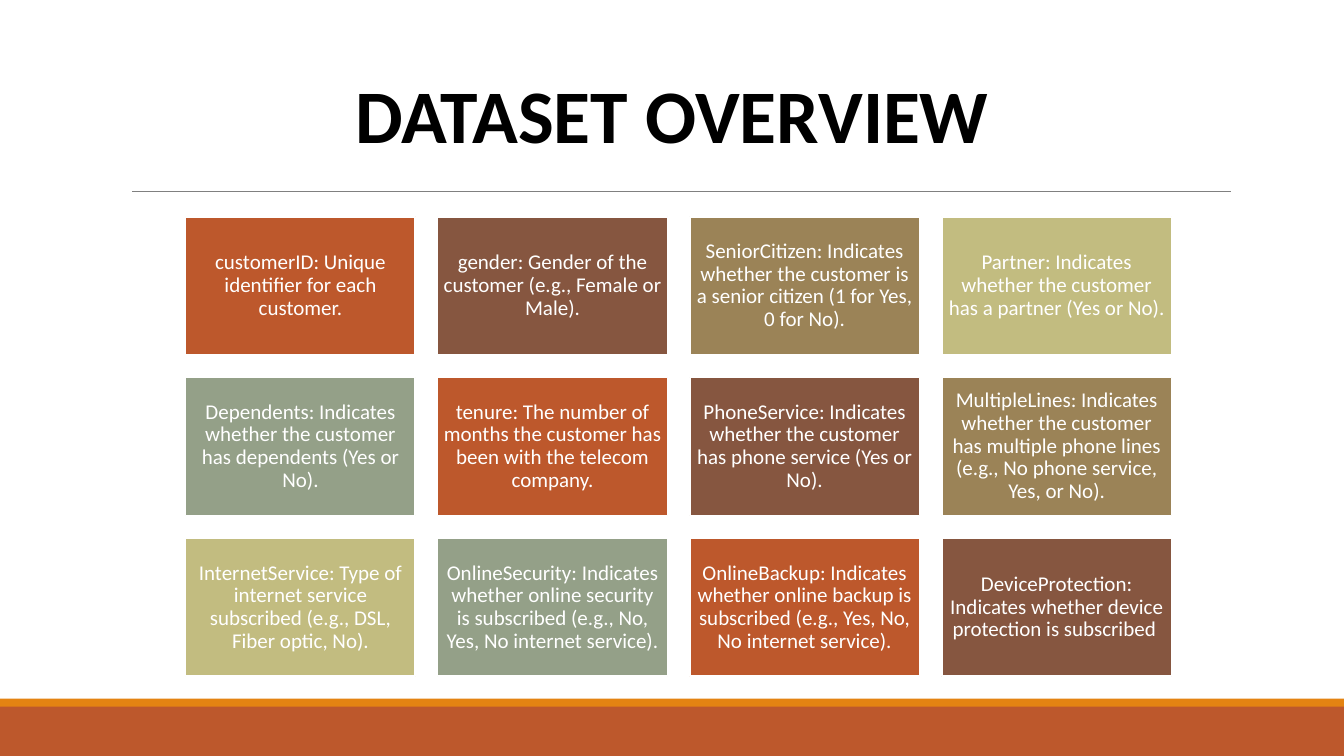
from pptx import Presentation
from pptx.dml.color import RGBColor
from pptx.enum import shapes, text
from pptx.oxml import ns, xmlchemy
from pptx.util import Inches, Pt

FONT = "Calibri"
CARD_COLOURS = ["BD582C", "865640", "9B8357", "C2BC80", "94A088"]
COLUMNS = 4
CARD_WIDTH, CARD_HEIGHT = 2.28, 1.37
GRID_LEFT, GRID_TOP = 1.84, 2.15
COLUMN_STEP, ROW_STEP = 2.5, 1.595
FIELDS = [
    "customerID: Unique identifier for each customer.",
    "gender: Gender of the customer (e.g., Female or Male).",
    "SeniorCitizen: Indicates whether the customer is a senior citizen (1 for Yes, 0 for No).",
    "Partner: Indicates whether the customer has a partner (Yes or No).",
    "Dependents: Indicates whether the customer has dependents (Yes or No).",
    "tenure: The number of months the customer has been with the telecom company.",
    "PhoneService: Indicates whether the customer has phone service (Yes or No).",
    "MultipleLines: Indicates whether the customer has multiple phone lines "
    "(e.g., No phone service, Yes, or No).",
    "InternetService: Type of internet service subscribed (e.g., DSL, Fiber optic, No).",
    "OnlineSecurity: Indicates whether online security is subscribed "
    "(e.g., No, Yes, No internet service).",
    "OnlineBackup: Indicates whether online backup is subscribed "
    "(e.g., Yes, No, No internet service).",
    "DeviceProtection: Indicates whether device protection is subscribed ",
]


def colour(value):
    return RGBColor.from_string(value)


def write(para, words, size, font_colour, bold=False):
    para.text = words
    para.alignment = text.PP_ALIGN.CENTER
    para.font.name = FONT
    para.font.size = Pt(size)
    para.font.bold = bold
    para.font.color.rgb = colour(font_colour)


def add_box(page, left, top, width, height, fill):
    box = page.shapes.add_shape(
        shapes.MSO_SHAPE.RECTANGLE, Inches(left), Inches(top), Inches(width), Inches(height)
    )
    box.shadow.inherit = False
    box.fill.solid()
    box.fill.fore_color.rgb = colour(fill)
    box.line.fill.background()
    return box


def add_card(page, left, top, fill, words):
    card = add_box(page, left, top, CARD_WIDTH, CARD_HEIGHT, fill)
    card.line.color.rgb = colour("FFFFFF")
    card.line.width = Pt(1.25)
    frame = card.text_frame
    frame.word_wrap = True
    frame.vertical_anchor = text.MSO_ANCHOR.MIDDLE
    frame.margin_left = frame.margin_right = Inches(0.06)
    frame.margin_top = frame.margin_bottom = Inches(0.06)
    para = frame.paragraphs[0]
    write(para, words, 15, "FFFFFF")
    para.line_spacing = 0.9


def add_rule(page, left, right, top):
    rule = page.shapes.add_connector(
        shapes.MSO_CONNECTOR.STRAIGHT, Inches(left), Inches(top), Inches(right), Inches(top)
    )
    rule.line.color.rgb = colour("808080")
    rule.line.width = Pt(0.5)
    rule._element.spPr.append(xmlchemy.OxmlElement("a:effectLst"))


def set_title(page, words):
    title = page.shapes.title
    title.left, title.top = Inches(2.5), Inches(0.62)
    title.width, title.height = Inches(8.33), Inches(1.01)
    frame = title.text_frame
    frame.word_wrap = True
    frame.auto_size = text.MSO_AUTO_SIZE.SHAPE_TO_FIT_TEXT
    frame.vertical_anchor = text.MSO_ANCHOR.TOP
    write(frame.paragraphs[0], words, 54, "000000", bold=True)


def main():
    deck = Presentation()
    deck.slide_width, deck.slide_height = Inches(13.33), Inches(7.5)
    page = deck.slides.add_slide(deck.slide_layouts[5])
    set_title(page, "DATASET OVERVIEW")
    add_box(page, 0, 7, 13.33, 0.5, "BD582C")
    add_box(page, 0, 6.93, 13.33, 0.08, "E48312")
    add_rule(page, 1.31, 12.21, 1.9)
    for index, words in enumerate(FIELDS):
        row, column = divmod(index, COLUMNS)
        add_card(
            page,
            GRID_LEFT + column * COLUMN_STEP,
            GRID_TOP + row * ROW_STEP,
            CARD_COLOURS[index % len(CARD_COLOURS)],
            words,
        )
    deck.save("out.pptx")


if __name__ == "__main__":
    main()
